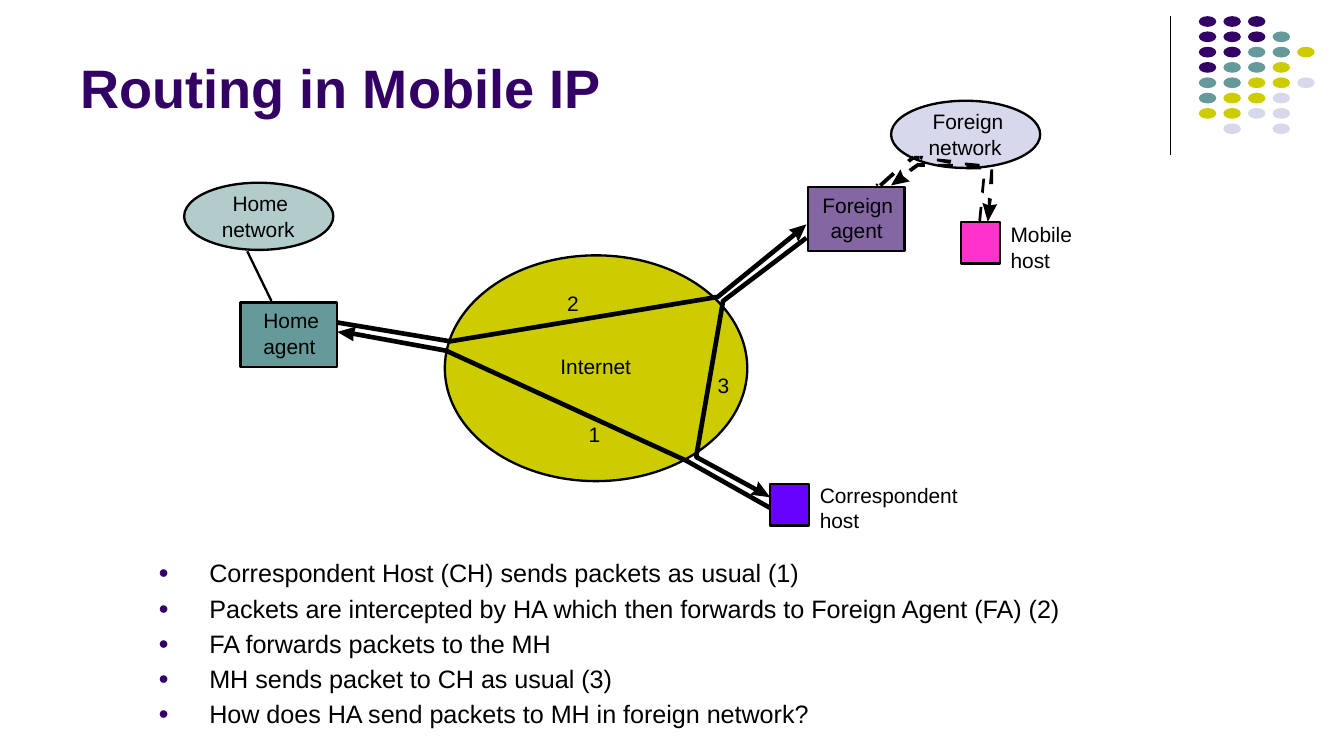
"""Builds the slide on routing in Mobile IP."""
from lxml import etree
from pptx import Presentation
from pptx import util as u
from pptx.dml.color import RGBColor
from pptx.enum import shapes, text
from pptx.oxml.ns import qn

BLACK = RGBColor(0, 0, 0)
PURPLE = RGBColor(0x33, 0x00, 0x66)
TEAL = RGBColor(0x66, 0x99, 0x99)
OLIVE = RGBColor(0xCC, 0xCC, 0x00)
LILAC = RGBColor(0xD8, 0xD8, 0xEC)
MINT = RGBColor(0xB1, 0xCC, 0xCB)
VIOLET = RGBColor(0x66, 0x00, 0xFF)
PINK = RGBColor(0xFF, 0x33, 0xCC)
RECT = shapes.MSO_SHAPE.RECTANGLE
OVAL = shapes.MSO_SHAPE.OVAL

TITLE = "Routing in Mobile IP"
POINTS = [
    "Correspondent Host (CH) sends packets as usual (1)",
    "Packets are intercepted by HA which then forwards to Foreign Agent (FA) (2)",
    "FA forwards packets to the MH",
    "MH sends packet to CH as usual (3)",
    "How does HA send packets to MH in foreign network?",
]
DOTS = ["PPP", "PPPT", "PPTTY", "PTTY", "TTYYL", "TYYL", "YYLL", " L L"]
HUES = {"P": PURPLE, "T": TEAL, "Y": OLIVE, "L": LILAC}
NODES = [
    (RECT, 6.01, 1.39, 0.72, 0.48, PURPLE, 60),
    (RECT, 1.79, 2.25, 0.72, 0.48, TEAL, 100),
    (OVAL, 3.31, 1.9, 2.25, 1.68, OLIVE, 100),
    (OVAL, 1.37, 1.36, 1.11, 0.5, MINT, 100),
    (OVAL, 6.63, 0.75, 1.11, 0.5, LILAC, 100),
    (RECT, 5.73, 3.6, 0.29, 0.31, VIOLET, 100),
    (RECT, 7.15, 1.65, 0.29, 0.31, PINK, 100),
]
LABELS = [
    ("Home", 1.96, 2.29, 0.42), ("agent", 1.96, 2.48, 0.39),
    ("Foreign", 6.12, 1.43, 0.54), ("agent", 6.18, 1.62, 0.39),
    ("Home", 1.73, 1.42, 0.42), ("network", 1.65, 1.61, 0.55),
    ("Foreign", 6.94, 0.81, 0.54), ("network", 6.91, 1, 0.55),
    ("Internet", 4.17, 2.63, 0.54),
    ("Correspondent", 6.1, 3.59, 1.04), ("host", 6.1, 3.78, 0.3),
    ("Mobile", 7.52, 1.65, 0.46), ("host", 7.52, 1.84, 0.3),
    ("1", 4.38, 3.14, 0.09), ("2", 4.22, 2.16, 0.09), ("3", 5.34, 2.77, 0.09),
]
ROUTES = [
    [(5.73, 3.78), (5.11, 3.43), (3.32, 2.61), (2.61, 2.48)],
    [(2.51, 2.4), (3.35, 2.54), (5.34, 2.21), (5.93, 1.73)],
    [(6, 1.77), (5.38, 2.24), (5.18, 3.4), (5.64, 3.65)],
]
HEADS = [
    [(2.65, 2.43), (2.63, 2.49), (2.63, 2.54), (2.51, 2.47)],
    [(5.94, 1.8), (5.92, 1.75), (5.87, 1.71), (6, 1.67)],
    [(7.31, 1.51), (7.36, 1.53), (7.42, 1.52), (7.35, 1.65)],
    [(6.7, 1.26), (6.72, 1.31), (6.77, 1.35), (6.63, 1.38)],
    [(5.58, 3.68), (5.63, 3.64), (5.64, 3.58), (5.73, 3.7)],
]
DASHES = [
    [(6.54, 1.37), (6.56, 1.39), (6.66, 1.3), (6.64, 1.28)],
    [(6.75, 1.19), (6.77, 1.21), (6.81, 1.18), (6.79, 1.16)],
    [(6.84, 1.16), (6.84, 1.18), (6.86, 1.19), (6.87, 1.16)],
    [(6.97, 1.18), (6.97, 1.2), (7.07, 1.22), (7.08, 1.19)],
    [(7.18, 1.21), (7.18, 1.23), (7.29, 1.25), (7.29, 1.22)],
    [(7.39, 1.26), (7.37, 1.26), (7.36, 1.37), (7.39, 1.37)],
    [(7.38, 1.48), (7.35, 1.47), (7.35, 1.55), (7.37, 1.55)],
    [(7.28, 1.64), (7.3, 1.65), (7.31, 1.54), (7.29, 1.54)],
    [(7.3, 1.43), (7.32, 1.44), (7.33, 1.33), (7.31, 1.33)],
    [(7.3, 1.26), (7.3, 1.24), (7.19, 1.23), (7.19, 1.26)],
    [(7.09, 1.25), (7.09, 1.22), (6.98, 1.22), (6.98, 1.24)],
    [(6.88, 1.24), (6.88, 1.21), (6.84, 1.21), (6.84, 1.24)],
    [(6.85, 1.23), (6.83, 1.21), (6.76, 1.26), (6.78, 1.28)],
]
LINES = [
    (8.71, 0.12, 8.71, 1.15, 0.75),
    (1.84, 1.87, 2.02, 2.24, 1.25),
    (6.52, 1.38, 6.53, 1.37, 1.25),
]


def span(*vals):
    return [u.Cm(v * 2.54) for v in vals]


def paint(shape, fill=None, width=0, alpha=100):
    shape.shadow.inherit = False
    if fill is None:
        shape.fill.background()
    else:
        shape.fill.solid()
        shape.fill.fore_color.rgb = fill
        if alpha < 100:
            hue = shape._element.spPr.find(".//" + qn("a:srgbClr"))
            etree.SubElement(hue, qn("a:alpha"), val=str(alpha * 1000))
    if width:
        shape.line.color.rgb = BLACK
        shape.line.width = u.Pt(width)
    else:
        shape.line.fill.background()


def node(kind, x, y, w, h, fill, alpha=100, width=1.25):
    paint(deck.add_shape(kind, *span(x, y, w, h)), fill, width, alpha)


def trace(spots, closed):
    spots = [span(*s) for s in spots]
    pen = deck.build_freeform(*spots[0], scale=1.0)
    pen.add_line_segments(spots[1:], close=closed)
    paint(pen.convert_to_shape(), BLACK if closed else None, 0 if closed else 2.5)


def write(par, words, size, color=BLACK, bold=False):
    run = par.add_run()
    run.text = words
    font = run.font
    font.name, font.size, font.bold = "Arial", u.Pt(size), bold
    font.color.rgb = color


def frame(x, y, w, h, wrap=True):
    body = deck.add_textbox(*span(x, y, w, h)).text_frame
    body.word_wrap = wrap
    return body


def bullet(par):
    par.space_before = u.Pt(2.7)
    props = par._p.get_or_add_pPr()
    props.set("marL", str(span(0.38)[0]))
    props.set("indent", str(span(-0.38)[0]))
    tint = etree.SubElement(props, qn("a:buClr"))
    etree.SubElement(tint, qn("a:srgbClr"), val=str(PURPLE))
    etree.SubElement(props, qn("a:buSzPct"), val="70000")
    etree.SubElement(props, qn("a:buFont"), typeface="Arial")
    etree.SubElement(props, qn("a:buChar"), char="●")


show = Presentation()
show.slide_width = u.Cm(25.4)
show.slide_height = show.slide_width * 9 // 16
deck = show.slides.add_slide(show.slide_layouts[6]).shapes

for row, marks in enumerate(DOTS):
    for col, mark in enumerate(marks):
        if mark in HUES:
            node(OVAL, 8.92 + col * 0.183, 0.12 + row * 0.114, 0.13, 0.08,
                 HUES[mark], width=0)

head = frame(0.5, 0.1, 8.25, 0.84)
head.vertical_anchor = text.MSO_ANCHOR.BOTTOM
write(head.paragraphs[0], TITLE, 29, PURPLE, True)

notes = frame(1.08, 4.1, 7.3, 1.25)
for i, point in enumerate(POINTS):
    par = notes.add_paragraph() if i else notes.paragraphs[0]
    bullet(par)
    write(par, point, 13.5)

for spec in NODES:
    node(*spec)
for x1, y1, x2, y2, width in LINES:
    line = deck.add_connector(shapes.MSO_CONNECTOR.STRAIGHT, *span(x1, y1, x2, y2))
    line.line.color.rgb = BLACK
    line.line.width = u.Pt(width)
    etree.SubElement(line._element.spPr, qn("a:effectLst"))
for route in ROUTES:
    trace(route, False)
for patch in HEADS + DASHES:
    trace(patch, True)
node(RECT, 6.8, 1.16, 0.04, 0.03, BLACK, width=0)

for words, x, y, w in LABELS:
    tag = frame(x, y, w, 0.19, False)
    tag.margin_left = tag.margin_right = tag.margin_top = tag.margin_bottom = 0
    tag.auto_size = text.MSO_AUTO_SIZE.SHAPE_TO_FIT_TEXT
    write(tag.paragraphs[0], words, 11.2)

show.save("out.pptx")
